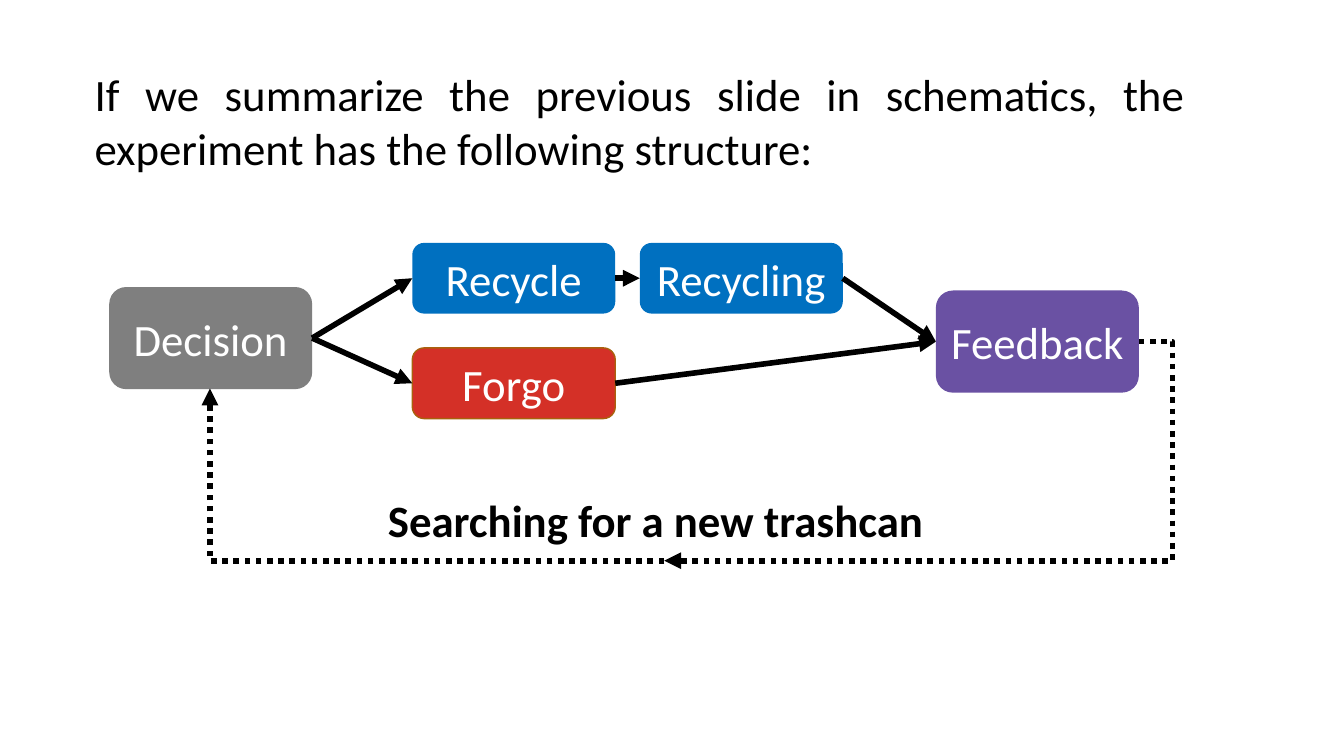
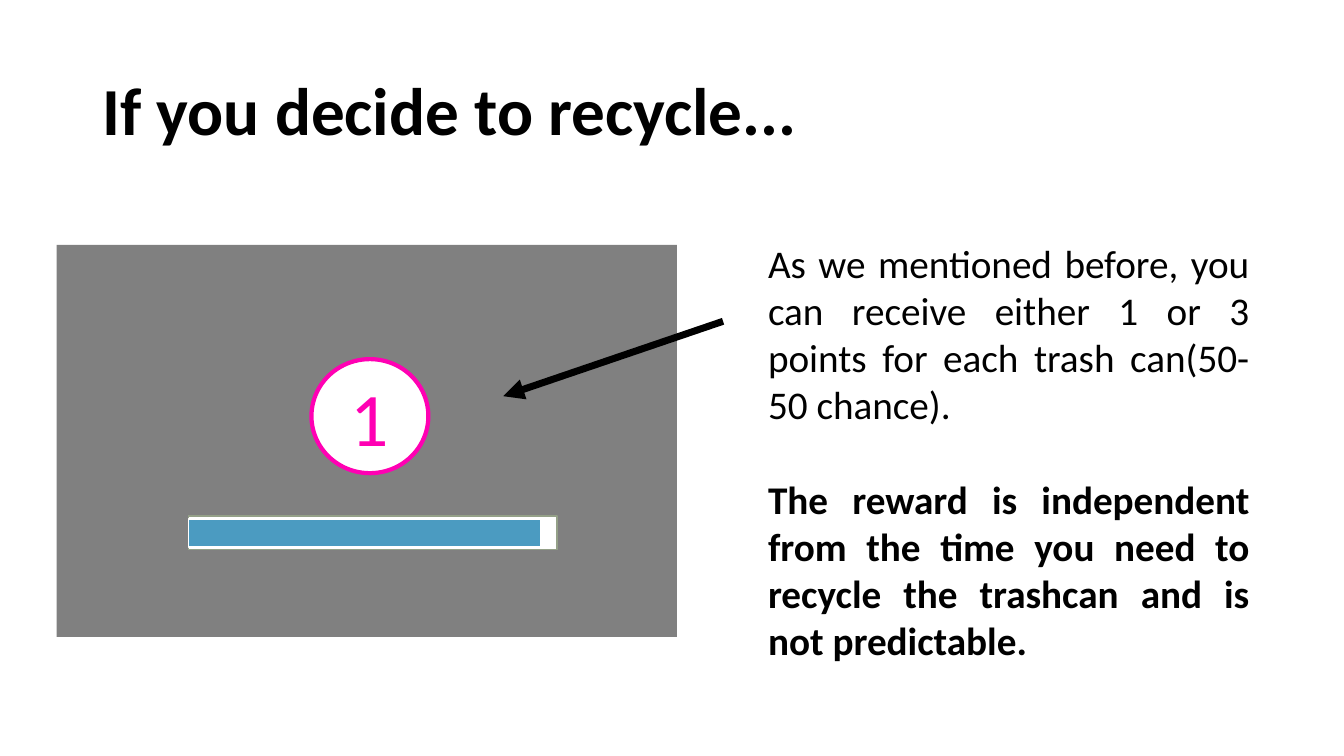
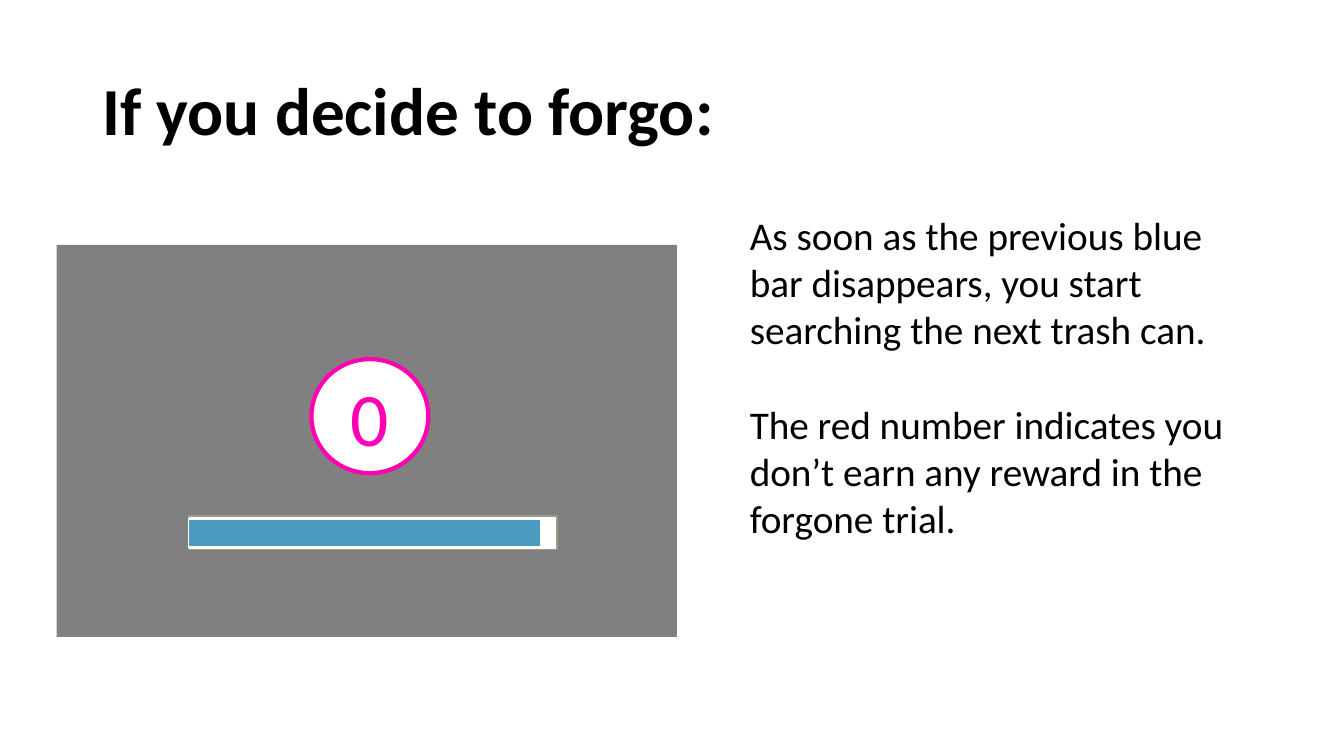
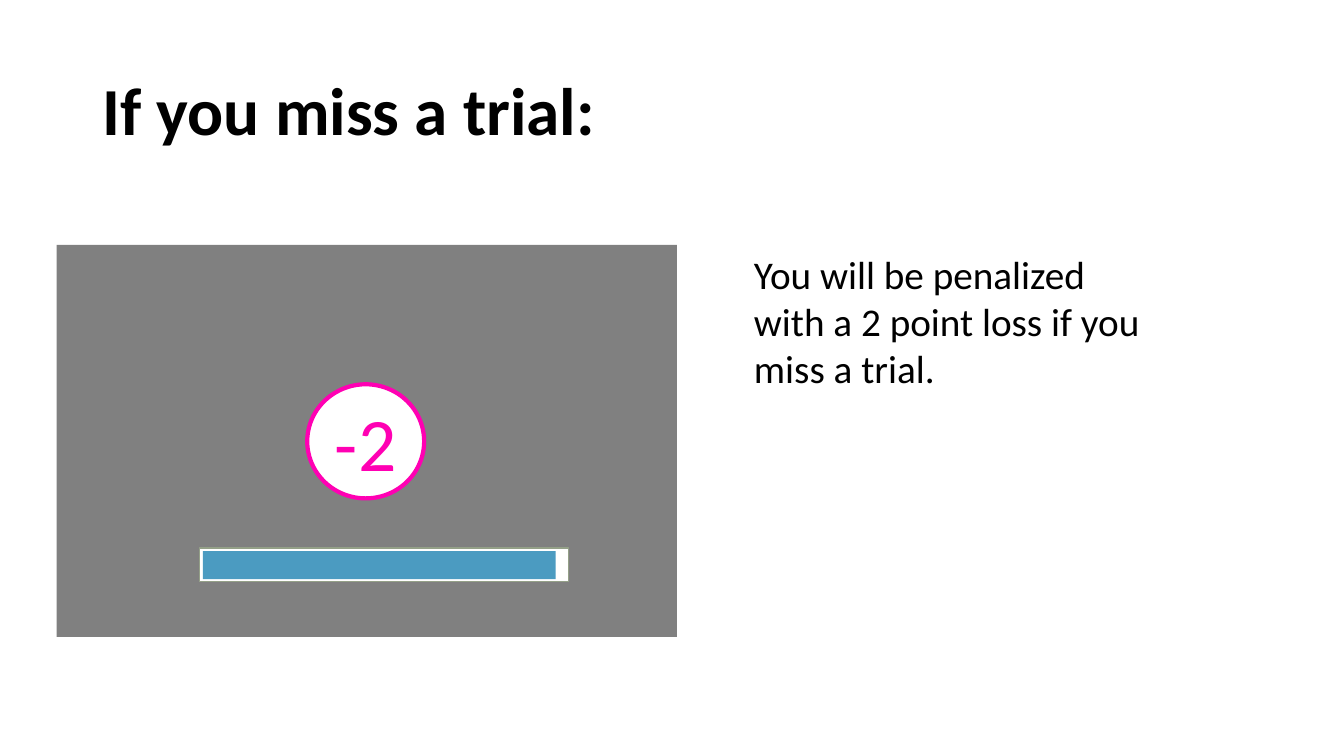
"""Build four slides on the structure and feedback of a recycling experiment."""
from pptx import Presentation
from pptx.dml.color import RGBColor
from pptx.enum.dml import MSO_LINE
from pptx.enum.shapes import MSO_CONNECTOR, MSO_SHAPE
from pptx.enum.text import MSO_ANCHOR, MSO_AUTO_SIZE, PP_ALIGN
from pptx.oxml.ns import qn
from pptx.util import Pt
from lxml import etree

FONT = "Calibri"
BLACK = RGBColor(0x00, 0x00, 0x00)
WHITE = RGBColor(0xFF, 0xFF, 0xFF)
DECISION_GREY = RGBColor(0x7F, 0x7F, 0x7F)
SCREEN_GREY = RGBColor(0x80, 0x80, 0x80)
RECYCLE_BLUE = RGBColor(0x00, 0x70, 0xC0)
FORGO_RED = RGBColor(0xD4, 0x30, 0x27)
FORGO_EDGE = RGBColor(0xA9, 0x61, 0x0D)
FEEDBACK_PURPLE = RGBColor(0x6A, 0x51, 0xA3)
REWARD_PINK = RGBColor(0xFF, 0x00, 0xB3)
TRACK_EDGE = RGBColor(0x94, 0xA0, 0x88)
PROGRESS_BLUE = RGBColor(0x4B, 0x9B, 0xC1)

RECT, ROUNDED, OVAL = MSO_SHAPE.RECTANGLE, MSO_SHAPE.ROUNDED_RECTANGLE, MSO_SHAPE.OVAL
STRAIGHT, ELBOW = MSO_CONNECTOR.STRAIGHT, MSO_CONNECTOR.ELBOW
LEFT, CENTER, JUSTIFY = PP_ALIGN.LEFT, PP_ALIGN.CENTER, PP_ALIGN.JUSTIFY
MIDDLE, NO_AUTOFIT = MSO_ANCHOR.MIDDLE, MSO_AUTO_SIZE.NONE
DOTTED = MSO_LINE.ROUND_DOT
LEFT_SITE, RIGHT_SITE = 1, 3

TITLE_ONLY, BLANK = 5, 6
NODE_WIDTH, TALL, SHORT = 145, 73, 50.5
HALF_TURN = "10800000"


def style(paragraph, size, color=BLACK, bold=False, align=LEFT):
    """Give a paragraph its font and alignment."""
    paragraph.alignment = align
    font = paragraph.font
    font.name, font.size, font.bold = FONT, Pt(size), bold
    font.color.rgb = color


def add_title(slide, text):
    """Place and fill the title placeholder."""
    title = slide.shapes.title
    title.left, title.top, title.width, title.height = Pt(66), Pt(28.75), Pt(828), Pt(104.4)
    frame = title.text_frame
    frame.text = text
    frame.auto_size, frame.vertical_anchor = NO_AUTOFIT, MIDDLE
    style(frame.paragraphs[0], 48, bold=True)
    frame.paragraphs[0].line_spacing = 0.9


def add_text(slide, box, passages, size, align=LEFT, gap=34):
    """Add wrapped text from (wording, bold) passages, set apart by a gap."""
    frame = slide.shapes.add_textbox(*map(Pt, box)).text_frame
    frame.word_wrap = True
    for index, (wording, bold) in enumerate(passages):
        paragraph = frame.paragraphs[0] if index == 0 else frame.add_paragraph()
        paragraph.text = wording
        style(paragraph, size, bold=bold, align=align)
        if index:
            paragraph.space_before = Pt(gap)


def add_block(slide, preset, box, fill, edge=None, edge_width=1):
    """Add a flat filled shape with an optional outline."""
    block = slide.shapes.add_shape(preset, *map(Pt, box))
    block.shadow.inherit = False
    block.fill.solid()
    block.fill.fore_color.rgb = fill
    if edge is None:
        block.line.fill.background()
    else:
        block.line.color.rgb = edge
        block.line.width = Pt(edge_width)
    return block


def add_label(block, text, size, color):
    """Centre one line of text in a shape."""
    frame = block.text_frame
    frame.text = text
    frame.word_wrap = False
    frame.vertical_anchor = MIDDLE
    style(frame.paragraphs[0], size, color, align=CENTER)


def add_node(slide, text, left, top, height, fill, edge=None):
    """Add one stage of the flow chart."""
    node = add_block(slide, ROUNDED, (left, top, NODE_WIDTH, height), fill, edge)
    add_label(node, text, 32, WHITE)
    return node


def add_arrow(slide, start, end, kind=STRAIGHT, width=4, dash=None):
    """Add a black connector with a triangular head at its end."""
    arrow = slide.shapes.add_connector(kind, *map(Pt, (*start, *end)))
    arrow.line.color.rgb = BLACK
    arrow.line.width = Pt(width)
    if dash is not None:
        arrow.line.dash_style = dash
    properties = arrow._element.spPr
    etree.SubElement(properties.find(qn("a:ln")), qn("a:tailEnd"), type="triangle")
    etree.SubElement(properties, qn("a:effectLst"))
    return arrow


def link(slide, source, target):
    """Join the right side of one node to the left side of another."""
    arrow = add_arrow(slide, (0, 0), (0, 0))
    arrow.begin_connect(source, RIGHT_SITE)
    arrow.end_connect(target, LEFT_SITE)


def add_return_path(slide, start, middle, end, overhang):
    """Draw the dotted way back: out and down to the middle, then along and up."""
    outward = add_arrow(slide, start, middle, ELBOW, dash=DOTTED)
    guides = outward._element.spPr.find(qn("a:prstGeom")).find(qn("a:avLst"))
    bend = round(-100000 * overhang / (start[0] - middle[0]))
    etree.SubElement(guides, qn("a:gd"), name="adj1", fmla=f"val {bend}")

    homeward = add_arrow(slide, end, middle, ELBOW, dash=DOTTED)
    properties = homeward._element.spPr
    properties.find(qn("a:prstGeom")).set("prst", "bentConnector2")
    properties.find(qn("a:xfrm")).set("rot", HALF_TURN)


def add_screen(slide, reward, circle=(222.5, 256.5), track=(134.5, 368.5),
               progress_inset=0, progress_edge=WHITE):
    """Add the task screen with the reward in a circle and the time bar."""
    add_block(slide, RECT, (40.5, 175, 443, 280), SCREEN_GREY)
    coin = add_block(slide, OVAL, (*circle, 83.5, 81.5), WHITE, REWARD_PINK, 3)
    add_label(coin, reward, 54, REWARD_PINK)
    left, top = track
    add_block(slide, RECT, (left, top, 263.5, 24), WHITE, TRACK_EDGE)
    add_block(slide, RECT, (left + progress_inset, top + 2.25, 252, 20),
              PROGRESS_BLUE, progress_edge)


def add_slide(deck, title=None):
    """Add a titled slide, or a blank one when no title is given."""
    slide = deck.slides.add_slide(deck.slide_layouts[TITLE_ONLY if title else BLANK])
    if title:
        add_title(slide, title)
    return slide


def build_structure(deck):
    """Show the experiment as a flow chart."""
    slide = add_slide(deck)
    decision = add_node(slide, "Decision", 78, 205, TALL, DECISION_GREY)
    recycle = add_node(slide, "Recycle", 294.5, 173.5, SHORT, RECYCLE_BLUE)
    forgo = add_node(slide, "Forgo", 294.5, 248.5, SHORT, FORGO_RED, FORGO_EDGE)
    feedback = add_node(slide, "Feedback", 668.5, 207.5, TALL, FEEDBACK_PURPLE)
    recycling = add_node(slide, "Recycling", 457, 173.5, SHORT, RECYCLE_BLUE)
    for source, target in ((decision, recycle), (decision, forgo), (recycling, feedback),
                           (forgo, feedback), (recycle, recycling)):
        link(slide, source, target)
    add_return_path(slide, start=(813.5, 244), middle=(474.5, 400.5),
                    end=(150, 277.5), overhang=24)
    add_text(slide, (270, 348.5, 518.5, 46), [("Searching for a new trashcan", True)], 32)
    add_text(slide, (60.5, 44, 793.5, 85),
             [("If we summarize the previous slide in schematics, the experiment has "
               "the following structure:", False)], 32, JUSTIFY)


def build_recycle(deck):
    """Explain the reward for recycling."""
    slide = add_slide(deck, "If you decide to recycle...")
    add_text(slide, (541.5, 167.5, 358, 312),
             [("As we mentioned before, you can receive either 1 or 3 points for each "
               "trash can(50-50 chance).", False),
              ("The reward is independent from the time you need to recycle the "
               "trashcan and is not predictable.", True)], 28, JUSTIFY)
    add_screen(slide, "1")
    add_arrow(slide, (516.5, 229.5), (359.5, 283), width=5)


def build_forgo(deck):
    """Explain what follows a forgone trial."""
    slide = add_slide(deck, "If you decide to forgo:")
    add_text(slide, (528.5, 147.5, 366, 245),
             [("As soon as the previous blue bar disappears, you start searching the "
               "next trash can.", False),
              ("The red number indicates you don’t earn any reward in the forgone "
               "trial.", False)], 28)
    add_screen(slide, "0")


def build_miss(deck):
    """Explain the penalty for a missed trial."""
    slide = add_slide(deck, "If you miss a trial:")
    add_screen(slide, "-2", circle=(219.5, 274.5), track=(142.5, 391.5),
               progress_inset=2.5, progress_edge=None)
    add_text(slide, (531.5, 175, 301.5, 109),
             [("You will be penalized with a 2 point loss if you miss a trial.", False)], 28)


def main():
    """Build and save the deck."""
    deck = Presentation()
    deck.slide_width, deck.slide_height = Pt(960), Pt(540)
    for build in (build_structure, build_recycle, build_forgo, build_miss):
        build(deck)
    deck.save("out.pptx")


if __name__ == "__main__":
    main()
